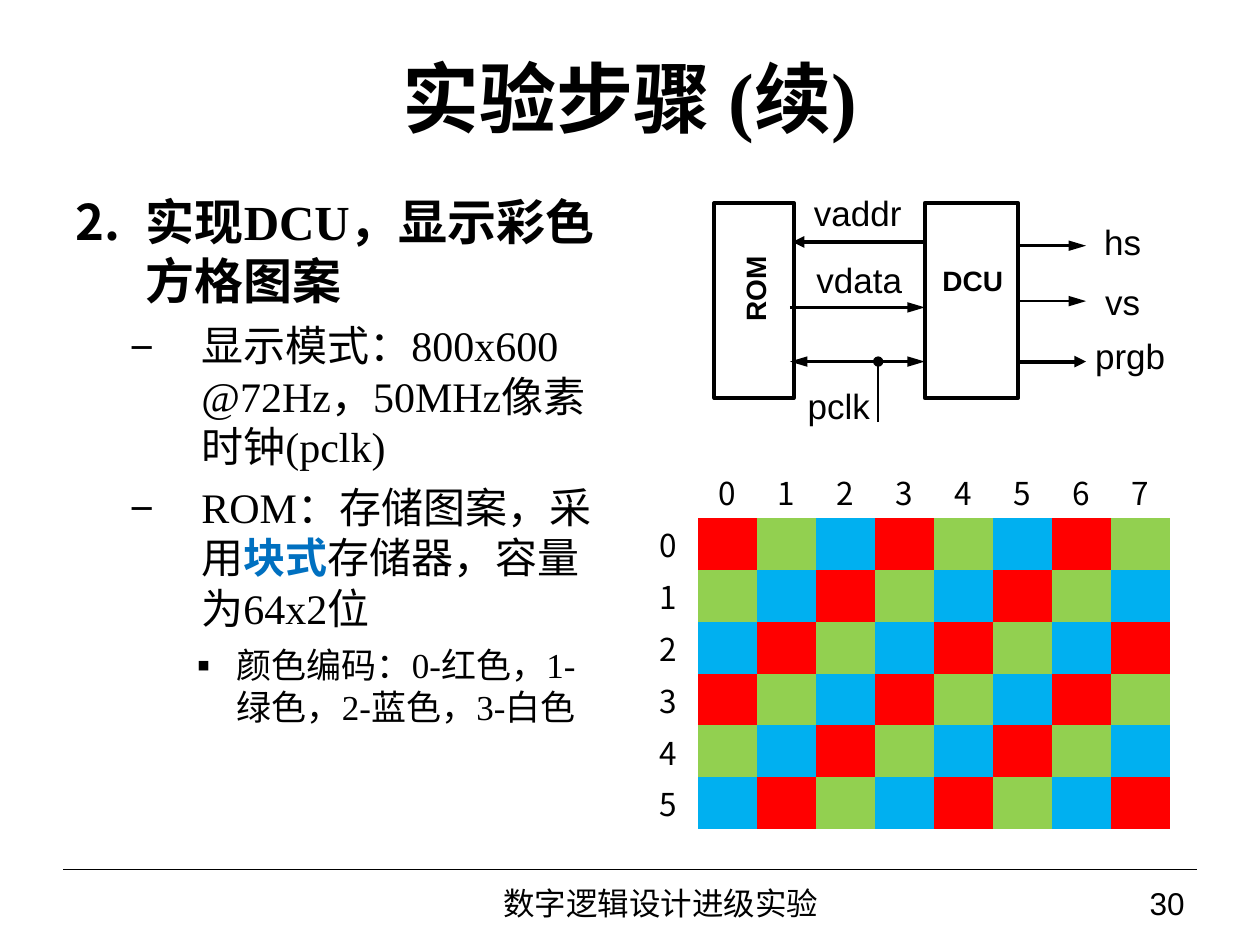
from lxml.etree import SubElement
from pptx import Presentation
from pptx.dml.color import RGBColor
from pptx.enum.shapes import MSO_CONNECTOR, MSO_SHAPE
from pptx.enum.text import MSO_ANCHOR, MSO_AUTO_SIZE, PP_ALIGN
from pptx.oxml.ns import qn
from pptx.util import Inches, Pt

BLACK, ACCENT = "000000", "0070C0"
SQUARES = ["FF0000", "92D050", "00B0F0"]
SERIF, SANS, CJK = "Times New Roman", "Arial", "Noto Sans CJK SC"
LEFT, CENTER, RIGHT = PP_ALIGN.LEFT, PP_ALIGN.CENTER, PP_ALIGN.RIGHT
NO_GRID_STYLE = "{2D5ABB26-0587-4C30-8999-92F81FD0307C}"


def color(value):
    """Turn a hex string into a colour."""
    return RGBColor.from_string(value)


class Sketch:
    """Draws on one slide, measured in a grid of 100 columns by 75 rows."""

    def __init__(self, deck):
        """Add a blank slide and work out the grid unit."""
        self.page = deck.slides.add_slide(deck.slide_layouts[6])
        self.unit = deck.slide_width / 100

    def grid(self, *cells):
        """Convert grid counts to lengths."""
        return [round(cell * self.unit) for cell in cells]

    def style(self, span, size, font=SANS, bold=False, tint=BLACK):
        """Format one run."""
        span.font.size, span.font.name, span.font.bold = Pt(size), font, bold
        span.font.color.rgb = color(tint)
        SubElement(span.font._element, qn("a:ea"), typeface=CJK)

    def text(self, place, words, size, align=LEFT, font=SANS, bold=False,
             anchor=MSO_ANCHOR.MIDDLE, wrap=True, inset=(1, 0.5), turn=0):
        """Add a text box with one paragraph."""
        box = self.page.shapes.add_textbox(*self.grid(*place))
        box.rotation = turn
        frame = box.text_frame
        frame.text = words
        frame.word_wrap, frame.vertical_anchor = wrap, anchor
        frame.auto_size = MSO_AUTO_SIZE.NONE
        frame.margin_left = frame.margin_right = self.grid(inset[0])[0]
        frame.margin_top = frame.margin_bottom = self.grid(inset[1])[0]
        para = frame.paragraphs[0]
        para.alignment = align
        self.style(para.runs[0], size, font, bold)

    def label(self, place, words, align=LEFT):
        """Add a signal name."""
        self.text(place, words, 20, align, wrap=False, inset=(0, 0))

    def outline(self, place, items):
        """Add the bulleted text; an item is level, bullet and spans."""
        sizes, indents = (28, 24, 20), ((0.56, -0.56), (1, -0.56), (1.28, -0.4))
        frame = self.page.shapes.add_textbox(*self.grid(*place)).text_frame
        frame.word_wrap = True
        for index, (level, bullet, spans) in enumerate(items):
            para = frame.add_paragraph() if index else frame.paragraphs[0]
            para.level, para.space_after = level, Pt(6)
            for words, bold, tint in spans:
                span = para.add_run()
                span.text = words
                self.style(span, sizes[level], SERIF, bold, tint)
            self.bullet(para, bullet, indents[level])

    def bullet(self, para, bullet, indent):
        """Give a paragraph its bullet; a whole number starts a numbered list."""
        props = para._p.get_or_add_pPr()
        for key, value in zip(("marL", "indent"), indent):
            props.set(key, str(Inches(value)))
        tint = SubElement(props, qn("a:buClr"))
        SubElement(tint, qn("a:srgbClr"), val=BLACK)
        SubElement(props, qn("a:buFont"), typeface=CJK)
        if isinstance(bullet, int):
            SubElement(props, qn("a:buAutoNum"), type="arabicPeriod", startAt=str(bullet))
        else:
            SubElement(props, qn("a:buChar"), char=bullet)

    def block(self, place):
        """Add a hollow circuit block."""
        block = self.page.shapes.add_shape(MSO_SHAPE.RECTANGLE, *self.grid(*place))
        block.shadow.inherit = False
        block.fill.background()
        block.line.color.rgb, block.line.width = color(BLACK), Pt(2.25)

    def line(self, ends, width=1.5, head=None, tail=None):
        """Add a straight line with optional end marks."""
        line = self.page.shapes.add_connector(MSO_CONNECTOR.STRAIGHT, *self.grid(*ends))
        line.line.color.rgb, line.line.width = color(BLACK), Pt(width)
        stroke = line.line._get_or_add_ln()
        for tag, mark in (("a:headEnd", head), ("a:tailEnd", tail)):
            if mark:
                length = "lg" if mark == "triangle" and width < 2 else "med"
                SubElement(stroke, qn(tag), type=mark, w="med", len=length)
        SubElement(line._element.spPr, qn("a:effectLst"))

    def pattern(self, place, rows, columns):
        """Add the table of coloured squares with numbered edges."""
        frame = self.page.shapes.add_table(rows + 1, columns + 1, *self.grid(*place))
        table = frame.table
        table.first_row = table.horz_banding = False
        table._tbl.tblPr.find(qn("a:tableStyleId")).text = NO_GRID_STYLE
        for row in range(rows + 1):
            for column in range(columns + 1):
                cell = table.cell(row, column)
                cell.vertical_anchor = MSO_ANCHOR.MIDDLE
                cell.margin_left = cell.margin_right = Inches(0.01)
                cell.margin_top = cell.margin_bottom = 0
                if row and column:
                    cell.fill.solid()
                    cell.fill.fore_color.rgb = color(SQUARES[(row + column - 2) % 3])
                    continue
                cell.fill.background()
                if row or column:
                    cell.text = str(row + column - 1)
                    para = cell.text_frame.paragraphs[0]
                    para.alignment = CENTER
                    self.style(para.runs[0], 18, CJK)


def main():
    """Build the slide."""
    deck = Presentation()
    deck.slide_width, deck.slide_height = Inches(10), Inches(7.5)
    sketch = Sketch(deck)

    sketch.line((5, 69, 95, 69), 0.75)
    sketch.text((5, 3, 90, 9.3), "实验步骤 (续)", 44, CENTER, SERIF, True)
    sketch.outline((5, 14.7, 44.3, 53.9), [
        (0, 2, [("实现DCU，显示彩色方格图案", True, BLACK)]),
        (1, "−", [("显示模式：800x600 @72Hz，50MHz像素时钟(pclk)", False, BLACK)]),
        (1, "−", [("ROM：存储图案，采用", False, BLACK), ("块式", True, ACCENT),
                  ("存储器，容量为64x2位", False, BLACK)]),
        (2, "▪", [("颜色编码：0-红色，1-绿色，2-蓝色，3-白色", False, BLACK)]),
    ])
    sketch.text((77.5, 69.8, 17.5, 3.7), "30", 18, RIGHT)
    sketch.text((28.3, 69.8, 48.3, 3.7), "数字逻辑设计进级实验", 18, CENTER)

    sketch.block((56.7, 16.1, 6.3, 15.5))
    sketch.block((73.4, 16.1, 7.4, 15.5))
    sketch.text((56.4, 21.1, 7.1, 3.7), "ROM", 16, bold=True,
                anchor=MSO_ANCHOR.TOP, wrap=False, turn=270)
    sketch.text((73.8, 20.4, 6.8, 3.7), "DCU", 16, CENTER, bold=True,
                anchor=MSO_ANCHOR.TOP, wrap=False)

    sketch.line((62.9, 19.2, 73.4, 19.2), 2.25, head="triangle")
    sketch.line((62.7, 24.4, 73.4, 24.4), tail="triangle")
    sketch.line((62.7, 28.7, 73.4, 28.7), head="triangle", tail="triangle")
    sketch.line((69.7, 33.5, 69.7, 28.7), tail="oval")
    for row, width in ((19.5, 1.5), (23.9, 1.5), (28.7, 2.25)):
        sketch.line((80.8, row, 86.2, row), width, tail="triangle")

    sketch.label((64.6, 15.2, 7, 3.3), "vaddr")
    sketch.label((64.8, 20.5, 6.8, 3.3), "vdata")
    sketch.label((64.1, 30.5, 4, 3.4), "pclk")
    sketch.label((87.1, 17.5, 4, 3.4), "hs", CENTER)
    sketch.label((87.1, 22.2, 4, 3.4), "vs", CENTER)
    sketch.label((86.9, 26.6, 5.6, 3.3), "prgb", CENTER)

    sketch.pattern((50.7, 37, 42.2, 28.8), 6, 8)
    deck.save("out.pptx")


if __name__ == "__main__":
    main()
